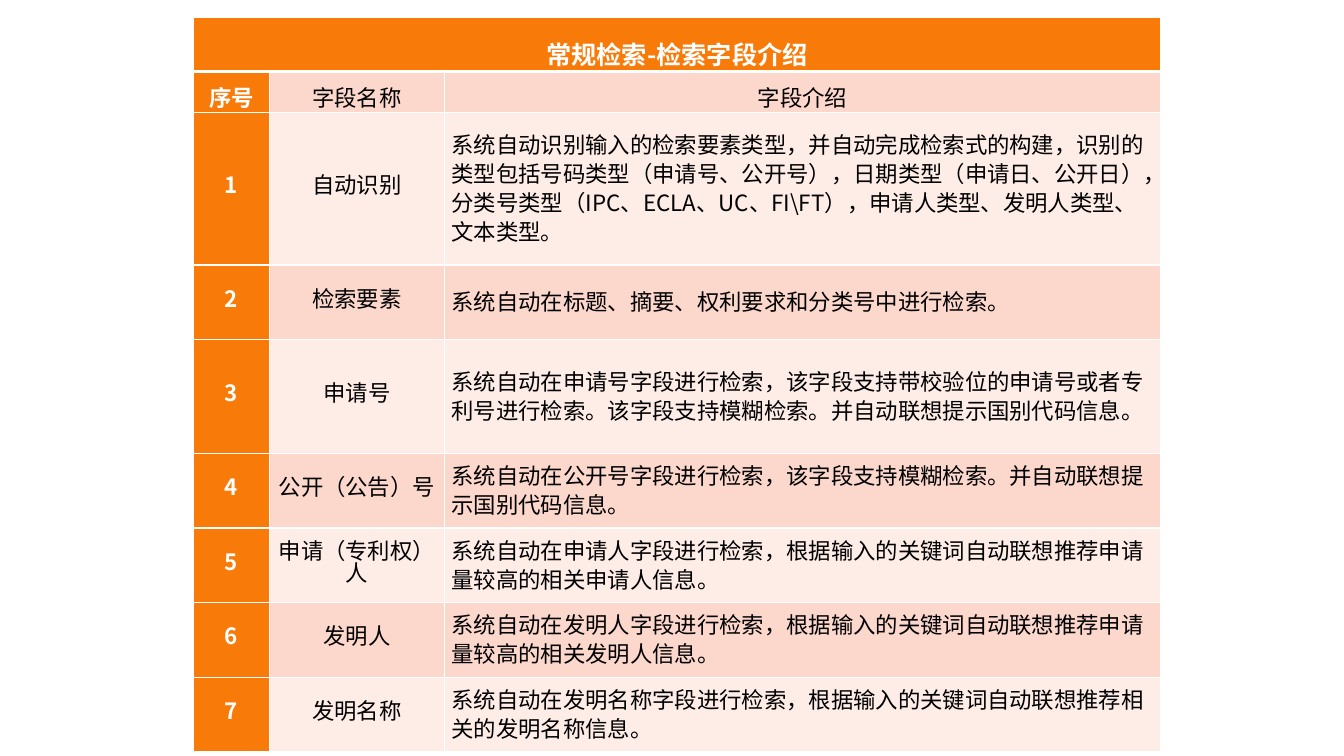
from lxml import etree
from pptx import Presentation
from pptx import util as u
from pptx.dml.color import RGBColor
from pptx.enum import lang, text
from pptx.oxml import ns

FONT = "Noto Sans CJK SC"
ORANGE, ROSE, PALE = "F87A08", "FCD7CC", "FEECE7"
WHITE, BLACK = "FFFFFF", "000000"


def paint(fill, shade):
    fill.solid()
    fill.fore_color.rgb = RGBColor.from_string(shade)


def edge(cell, side, width):
    """Draw a white border; borders must be added before the cell fill."""
    props = cell._tc.get_or_add_tcPr()
    line = etree.SubElement(props, ns.qn("a:ln" + side), w=str(u.Pt(width)))
    solid = etree.SubElement(line, ns.qn("a:solidFill"))
    etree.SubElement(solid, ns.qn("a:srgbClr"), val=WHITE)


widths = [0.75, 1.74, 7.1]
heights = [0.54, 0.41, 1.51, 0.74, 1.13, 0.74, 0.74, 0.74, 0.74]
fields = [
    ("自动识别", "系统自动识别输入的检索要素类型，并自动完成检索式的构建，识别的类型包括号码类型（申请号、公开号），日期类型（申请日、公开日），分类号类型（IPC、ECLA、UC、FI\\FT），申请人类型、发明人类型、文本类型。"),
    ("检索要素", "系统自动在标题、摘要、权利要求和分类号中进行检索。"),
    ("申请号", "系统自动在申请号字段进行检索，该字段支持带校验位的申请号或者专利号进行检索。该字段支持模糊检索。并自动联想提示国别代码信息。"),
    ("公开（公告）号", "系统自动在公开号字段进行检索，该字段支持模糊检索。并自动联想提示国别代码信息。"),
    ("申请（专利权）人", "系统自动在申请人字段进行检索，根据输入的关键词自动联想推荐申请量较高的相关申请人信息。"),
    ("发明人", "系统自动在发明人字段进行检索，根据输入的关键词自动联想推荐申请量较高的相关发明人信息。"),
    ("发明名称", "系统自动在发明名称字段进行检索，根据输入的关键词自动联想推荐相关的发明名称信息。"),
]
rows = [("常规检索-检索字段介绍", "", ""), ("序号", "字段名称", "字段介绍")]
rows += [(str(n), *field) for n, field in enumerate(fields, 1)]

deck = Presentation()
deck.slide_width, deck.slide_height = u.Inches(13.33), u.Inches(7.5)
slide = deck.slides.add_slide(deck.slide_layouts[6])
frame = slide.shapes.add_table(
    len(rows), len(widths), u.Inches(1.92), u.Inches(0.17),
    u.Inches(sum(widths)), u.Inches(sum(heights)))
table = frame.table
for column, width in zip(table.columns, widths):
    column.width = u.Inches(width)
for row, height in zip(table.rows, heights):
    row.height = u.Inches(height)
table.cell(0, 0).merge(table.cell(0, 2))

for r, words in enumerate(rows):
    for c, word in enumerate(words):
        cell = table.cell(r, c)
        head = r == 0 or c == 0
        detail = r > 1 and c == 2
        for side in "LRTB":
            thick = (r, side) in ((0, "B"), (1, "T"))
            edge(cell, side, 3 if thick else 1)
        paint(cell.fill, ORANGE if head else ROSE if r % 2 else PALE)
        cell.margin_left = cell.margin_right = u.Inches(0.07)
        cell.margin_top = cell.margin_bottom = 0
        anchor = text.MSO_ANCHOR
        cell.vertical_anchor = anchor.BOTTOM if r < 2 else anchor.MIDDLE
        if not word:
            continue
        para = cell.text_frame.paragraphs[0]
        align = text.PP_ALIGN
        para.alignment = align.LEFT if detail else align.CENTER
        wide = r == 0 or c == 2
        para.line_spacing = u.Pt(20.8 if detail else 16.8 if wide else 15.8)
        run = para.add_run()
        run.text = word
        font = run.font
        font.name, font.size, font.bold = FONT, u.Pt(16 if r else 18), head
        font.language_id = lang.MSO_LANGUAGE_ID.SIMPLIFIED_CHINESE
        paint(font.fill, WHITE if head else BLACK)
        etree.SubElement(run._r.get_or_add_rPr(), ns.qn("a:ea"), typeface=FONT)

deck.save("out.pptx")
